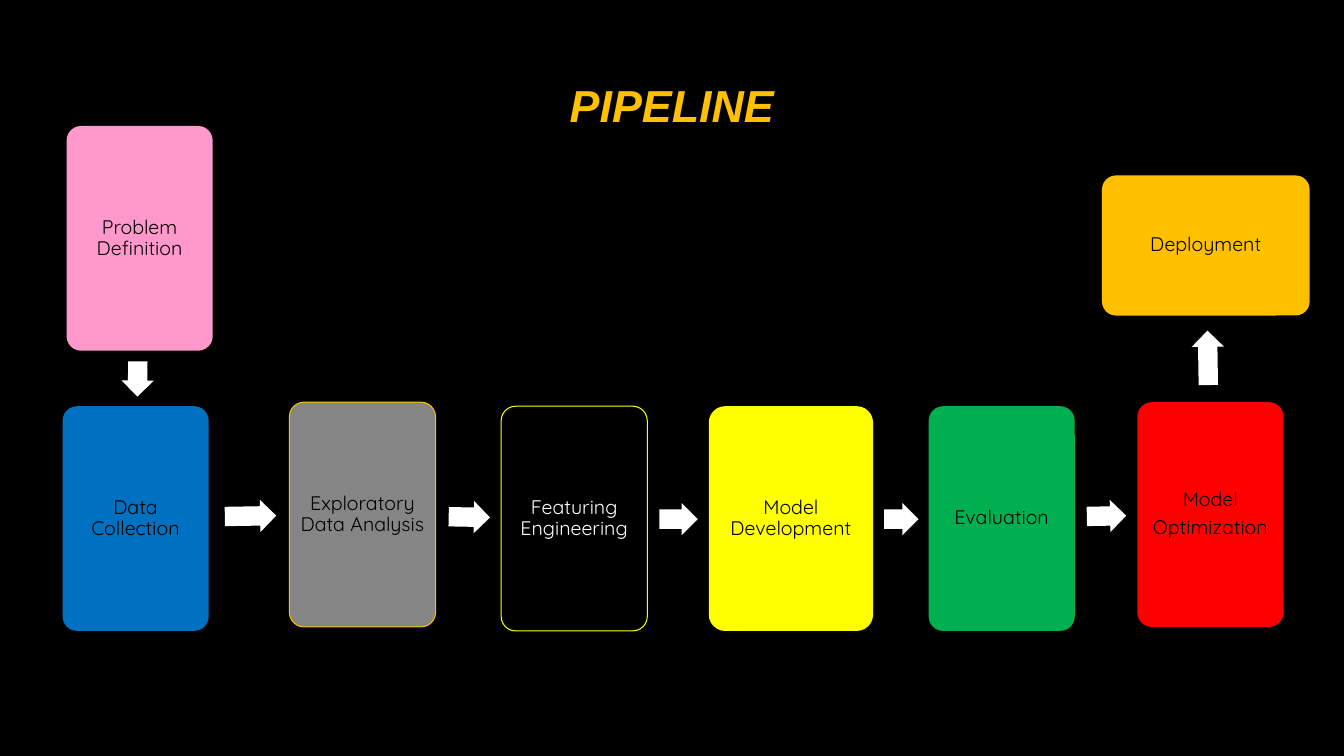
from dataclasses import dataclass

from pptx import Presentation
from pptx.dml.color import RGBColor
from pptx.enum.shapes import MSO_SHAPE
from pptx.enum.text import MSO_ANCHOR, PP_ALIGN
from pptx.util import Inches, Pt

ROUND = MSO_SHAPE.ROUNDED_RECTANGLE
ARROW = MSO_SHAPE.RIGHT_ARROW
MIDDLE = MSO_ANCHOR.MIDDLE
CENTER = PP_ALIGN.CENTER


@dataclass(frozen=True)
class Theme:
    black: str = "000000"
    white: str = "FFFFFF"
    pink: str = "FF99CC"
    blue: str = "0070C0"
    gray: str = "858585"
    yellow: str = "FFFF00"
    green: str = "00B050"
    red: str = "FF0000"
    gold: str = "FFC000"
    head: str = "Arial"
    body: str = "Quicksand"
    head_size: int = 32
    body_size: int = 14
    edge: float = 0.75


class Deck:
    def __init__(self, theme):
        self.theme = theme
        self.prs = Presentation()
        self.prs.slide_width = Inches(13.33)
        self.prs.slide_height = Inches(7.5)
        self.slide = self.prs.slides.add_slide(self.prs.slide_layouts[6])
        self.paint(self.slide.background.fill, theme.black)

    def paint(self, fill, color):
        fill.solid()
        fill.fore_color.rgb = RGBColor.from_string(color)

    def shape(self, kind, place, color, line=None):
        item = self.slide.shapes.add_shape(kind, *map(Inches, place))
        item.shadow.inherit = False
        self.paint(item.fill, color)
        if line:
            self.paint(item.line.fill, line)
            item.line.width = Pt(self.theme.edge)
        else:
            item.line.fill.background()
        return item

    def label(self, frame, text, font, size, color, bold=False):
        frame.word_wrap = True
        frame.vertical_anchor = MIDDLE
        frame.text = text
        for para in frame.paragraphs:
            para.alignment = CENTER
            for run in para.runs:
                run.font.name = font
                run.font.size = Pt(size)
                run.font.bold = run.font.italic = bold
                run.font.color.rgb = RGBColor.from_string(color)

    def title(self, text, place):
        box = self.slide.shapes.add_textbox(*map(Inches, place))
        theme = self.theme
        self.label(box.text_frame, text, theme.head, theme.head_size, theme.gold, True)

    def step(self, text, place, color, line=None, ink=None):
        theme = self.theme
        card = self.shape(ROUND, place, color, line)
        card.adjustments[0] = 0.1
        frame = card.text_frame
        frame.margin_left = frame.margin_right = Inches(0.06)
        frame.margin_top = frame.margin_bottom = Inches(0.06)
        self.label(frame, text, theme.body, theme.body_size, ink or theme.black)
        for para in frame.paragraphs:
            para.line_spacing = 0.9
            para.space_after = Pt(0.35 * theme.body_size)

    def arrow(self, left, top, width, turn=0):
        item = self.shape(ARROW, (left, top, width, 0.32), self.theme.white)
        item.adjustments[0] = 0.6
        item.adjustments[1] = 0.5
        item.rotation = turn

    def save(self):
        self.prs.save("out.pptx")


def main():
    theme = Theme()
    deck = Deck(theme)
    wide, tall = 1.45, 2.23
    high, low = 3.99, 4.03
    steps = [
        ("Problem Definition", (0.66, 1.25, wide, tall), theme.pink),
        ("Data Collection", (0.62, low, wide, tall), theme.blue),
        ("Exploratory Data Analysis", (2.87, high, wide, tall), theme.gray, theme.gold),
        ("Featuring Engineering", (4.97, low, wide, tall), theme.black, theme.yellow, theme.white),
        ("Model Development", (7.03, low, 1.63, tall), theme.yellow),
        ("Evaluation", (9.21, low, wide, tall), theme.green),
        ("Model\nOptimization", (11.28, high, wide, tall), theme.red),
        ("Deployment", (10.93, 1.74, 2.06, 1.39), theme.gold),
    ]
    arrows = [
        (1.19, 3.6, 0.35, 90.7),
        (2.23, 4.96, 0.51, 359),
        (4.45, 4.97, 0.41, 1.1),
        (6.54, 4.99, 0.38),
        (8.77, 4.99, 0.34),
        (10.78, 4.96, 0.39, 358.9),
        (11.71, 3.39, 0.54, 269.1),
    ]
    for step in steps:
        deck.step(*step)
    for arrow in arrows:
        deck.arrow(*arrow)
    deck.title("PIPELINE", (0.65, 0.59, 12.03, 0.9))
    deck.save()


if __name__ == "__main__":
    main()
